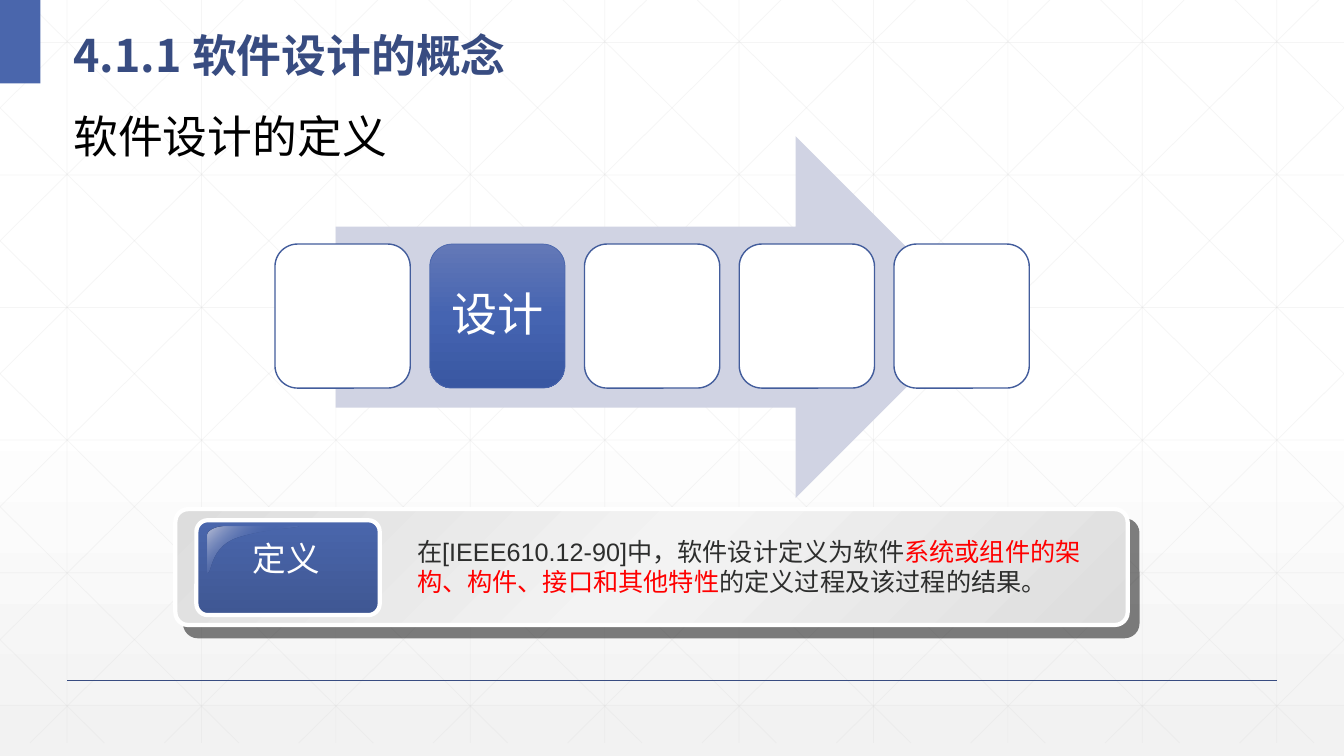
"""Build the slide that defines software design."""
import pptx
import pptx.dml.color
import pptx.enum.shapes
import pptx.enum.text
import pptx.oxml.ns
import pptx.util
from lxml import etree

Cm = pptx.util.Cm
Pt = pptx.util.Pt
qn = pptx.oxml.ns.qn
Shape = pptx.enum.shapes.MSO_SHAPE
Align = pptx.enum.text.PP_ALIGN
Anchor = pptx.enum.text.MSO_ANCHOR
CJK = "Noto Sans CJK SC"


def paint(fill, *stops, root=None, angle=90):
    """Fill with one hex colour, or with (position, hex, opacity) stops."""
    if len(stops) == 1:
        fill.solid()
        fill.fore_color.rgb = pptx.dml.color.RGBColor.from_string(stops[0])
        return
    fill.gradient()
    gradient = next(root.iter(qn("a:gradFill")))
    gradient.find(qn("a:lin")).set("ang", str(angle * 60000))
    stop_list = gradient.find(qn("a:gsLst"))
    for old_stop in list(stop_list):
        stop_list.remove(old_stop)
    for position, colour, opacity in stops:
        stop = etree.SubElement(stop_list, qn("a:gs"), pos=str(position * 1000))
        tint = etree.SubElement(stop, qn("a:srgbClr"), val=colour)
        if opacity < 100:
            etree.SubElement(tint, qn("a:alpha"), val=str(opacity * 1000))


def write(frame, runs, size, latin, align=Align.LEFT, anchor=Anchor.TOP,
          spacing=1.0, bold=False, wrap=True):
    """Write coloured runs as one paragraph and return the last run."""
    frame.word_wrap = wrap
    frame.vertical_anchor = anchor
    paragraph = frame.paragraphs[0]
    paragraph.alignment = align
    paragraph.line_spacing = spacing
    for text, colour in runs:
        run = paragraph.add_run()
        run.text = text
        run.font.size = Pt(size)
        run.font.bold = bold
        run.font.name = latin
        paint(run.font.fill, colour)
        etree.SubElement(run._r.get_or_add_rPr(), qn("a:ea"), typeface=CJK)
    return run


deck = pptx.Presentation()
deck.slide_width, deck.slide_height = Cm(33.87), Cm(19.05)
slide = deck.slides.add_slide(deck.slide_layouts[6])
paint(slide.background.fill, (0, "FFFFFF", 100), (53, "FFFFFF", 100),
      (100, "F2F2F2", 65), root=slide._element)

width, depth, pitch, slant = 33.87, 18.72, 3.387, 1.011
lattice = [(1.69 + pitch * i, 0, 1.69 + pitch * i, depth) for i in range(10)]
lattice += [(0, 1.07 + 3.34 * i, width, 1.07 + 3.34 * i) for i in range(6)]
for i in range(-5, 10):
    start = 0.64 + pitch * i
    left, right = max(start, 0), min(start + depth * slant, width)
    top, bottom = (left - start) / slant, (right - start) / slant
    lattice += [(left, top, right, bottom), (width - left, top, width - right, bottom)]

rules = [(ends, "D9D9D9", 0.5, 25) for ends in lattice]
rules.append(((1.69, 17.15, 32.17, 17.15), "384C81", 1, 100))
for ends, colour, weight, opacity in rules:
    rule = slide.shapes.add_connector(
        pptx.enum.shapes.MSO_CONNECTOR.STRAIGHT, *[Cm(end) for end in ends])
    rule.line.width = Pt(weight)
    paint(rule.line.fill, colour)
    tint = next(rule._element.spPr.iter(qn("a:srgbClr")))
    etree.SubElement(tint, qn("a:alpha"), val=str(opacity * 1000))
    etree.SubElement(rule._element.spPr, qn("a:effectLst"))

design_fill = [(0, "6378B7", 100), (50, "4564B1", 100), (100, "3957A2", 100)]
panel_fill = [(0, "DDDDDD", 100), (50, "F3F3F3", 100), (100, "DDDDDD", 100)]
badge_fill = [(0, "4A66AC", 100), (100, "3F5793", 100)]
blocks = [
    (Shape.RECTANGLE, (0, 0, 1.02, 2.1), ["4A66AC"], 90, None, 0, None),
    (Shape.RIGHT_ARROW, (8.46, 3.43, 16.15, 9.12), ["D0D3E3"], 90, None, 0, None),
]
for i in range(5):
    box = (6.93 + 3.9 * i, 6.15, 3.41, 3.63)
    look = (design_fill, 90, "4A66AC", 0.5) if i == 1 else (["FFFFFF"], 90, "435D9C", 1)
    blocks.append((Shape.ROUNDED_RECTANGLE, box, *look, None))
blocks += [
    (Shape.ROUNDED_RECTANGLE, (4.42, 12.83, 24, 2.92), panel_fill, 45, "FFFFFF", 3, 0.11),
    (Shape.ROUNDED_RECTANGLE, (4.95, 13.11, 4.62, 2.39), badge_fill, 90, "FFFFFF", 3, 0.12),
]
drawn = []
for kind, box, stops, angle, outline, weight, rounding in blocks:
    block = slide.shapes.add_shape(kind, *[Cm(length) for length in box])
    block.shadow.inherit = False
    paint(block.fill, *stops, root=block._element.spPr, angle=angle)
    if outline:
        paint(block.line.fill, outline)
        block.line.width = Pt(weight)
    else:
        block.line.fill.background()
    if rounding:
        block.adjustments[0] = rounding
    drawn.append(block)
design, panel = drawn[3], drawn[7]
write(design.text_frame, [("设计", "FFFFFF")], 33, "Arial", Align.CENTER,
      Anchor.MIDDLE, 0.9)

panel_shadow = etree.SubElement(
    panel._element.spPr.find(qn("a:effectLst")), qn("a:outerShdw"), blurRad="0",
    dist=str(Pt(10.6)), dir=str(49 * 60000), algn="ctr", rotWithShape="0")
tint = etree.SubElement(panel_shadow, qn("a:srgbClr"), val="000000")
etree.SubElement(tint, qn("a:alpha"), val="50000")

gloss_curves = [
    [(5.69, 13.26), (5.46, 13.26), (5.23, 13.36), (5.23, 13.49)],
    [(5.23, 14.43), (5.36, 14.45), (5.28, 13.87), (5.87, 13.59)],
    [(5.87, 13.59), (6.45, 13.34), (7.54, 13.31), (7.52, 13.26)],
]
edge = []
for curve in gloss_curves:
    for step in range(13):
        t = step / 12
        weights = ((1 - t) ** 3, 3 * t * (1 - t) ** 2, 3 * t * t * (1 - t), t ** 3)
        edge.append(tuple(Cm(sum(w * point[axis] for w, point in zip(weights, curve)))
                          for axis in (0, 1)))
outline = slide.shapes.build_freeform(*edge[0])
outline.add_line_segments(edge[1:], close=True)
gloss = outline.convert_to_shape()
gloss.shadow.inherit = False
gloss.line.fill.background()
paint(gloss.fill, (0, "BAC0D7", 100), (50, "4A66AC", 0), (100, "BAC0D7", 100),
      root=gloss._element.spPr, angle=45)

definition = [
    ("在[IEEE610.12-90]中，软件设计定义为软件", "2D2E2D"),
    ("系统或组件的架构、构件、接口和其他特性", "FF0000"),
    ("的定义过程及该过程的结果。", "2D2E2D"),
]
captions = [
    ((1.6, 0.25, 31.55, 1.85), [("4.1.1 软件设计的概念", "384C81")], 32, CJK,
     dict(anchor=Anchor.MIDDLE, spacing=1.3, bold=True)),
    ((1.6, 2.62, 8.48, 1.63), [("软件设计的定义", "000000")], 32, "Arial", dict(wrap=False)),
    ((10.26, 13.39, 17.65, 1.8), definition, 18, "Arial", {}),
    ((5.21, 13.44, 4.01, 1.6), [("定义", "FFFFFF")], 24, CJK, dict(align=Align.CENTER)),
]
for box, runs, size, latin, options in captions:
    caption = slide.shapes.add_textbox(*[Cm(length) for length in box])
    badge_run = write(caption.text_frame, runs, size, latin, **options)

effects = etree.Element(qn("a:effectLst"))
badge_shadow = etree.SubElement(effects, qn("a:outerShdw"), blurRad="0",
                                dist=str(Pt(2)), dir=str(45 * 60000))
etree.SubElement(badge_shadow, qn("a:srgbClr"), val="000000")
badge_run._r.get_or_add_rPr().find(qn("a:latin")).addprevious(effects)

deck.save("out.pptx")
